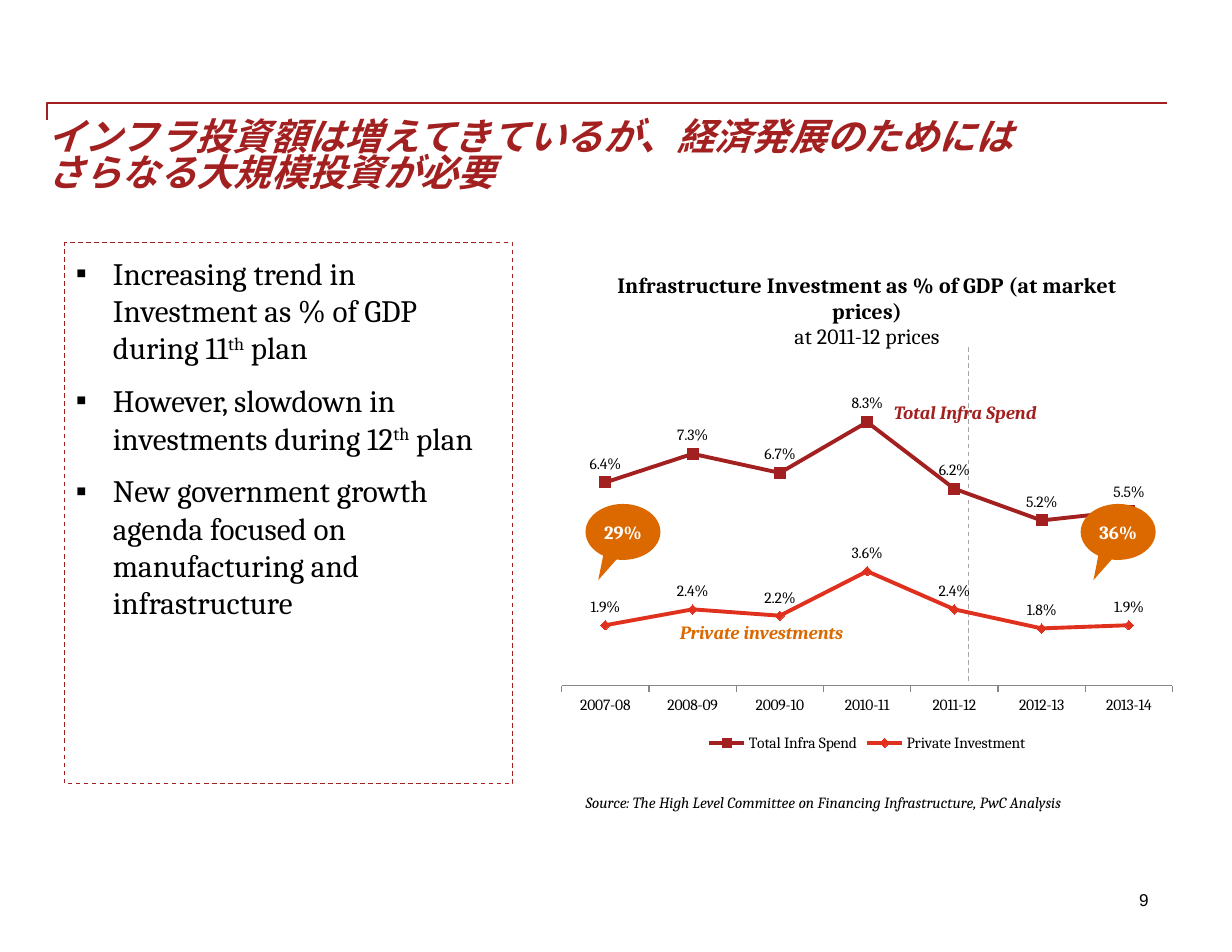
"""Build the infrastructure investment slide."""
from dataclasses import dataclass

from lxml import etree
from pptx import Presentation
from pptx.chart.data import CategoryChartData
from pptx.dml.color import RGBColor
from pptx.enum.chart import (XL_CHART_TYPE, XL_LABEL_POSITION, XL_LEGEND_POSITION,
                             XL_MARKER_STYLE, XL_TICK_LABEL_POSITION, XL_TICK_MARK)
from pptx.enum.dml import MSO_LINE
from pptx.enum.shapes import MSO_CONNECTOR, MSO_SHAPE
from pptx.enum.text import MSO_ANCHOR, MSO_AUTO_SIZE, PP_ALIGN
from pptx.oxml import parse_xml
from pptx.oxml.ns import nsdecls, qn
from pptx.util import Cm, Pt

LINE_MARKERS = XL_CHART_TYPE.LINE_MARKERS
SQUARE, DIAMOND = XL_MARKER_STYLE.SQUARE, XL_MARKER_STYLE.DIAMOND
DASH = MSO_LINE.DASH
TOP, MIDDLE = MSO_ANCHOR.TOP, MSO_ANCHOR.MIDDLE
LEFT, CENTER, RIGHT = PP_ALIGN.LEFT, PP_ALIGN.CENTER, PP_ALIGN.RIGHT
PERCENT = "0.0%"


@dataclass(frozen=True)
class Theme:
    """Colours, fonts and type sizes."""
    red: RGBColor = RGBColor(0xA3, 0x20, 0x20)
    bright: RGBColor = RGBColor(0xE0, 0x30, 0x1E)
    orange: RGBColor = RGBColor(0xDC, 0x69, 0x00)
    grey: RGBColor = RGBColor(0xA6, 0xA6, 0xA6)
    axis: RGBColor = RGBColor(0x86, 0x86, 0x86)
    black: RGBColor = RGBColor(0, 0, 0)
    white: RGBColor = RGBColor(0xFF, 0xFF, 0xFF)
    serif: str = "Cambria"
    sans: str = "Arial"
    japanese: str = "Noto Sans CJK JP"
    title: Pt = Pt(24)
    body: Pt = Pt(20)
    chart_title: Pt = Pt(14)
    label: Pt = Pt(12)
    page: Pt = Pt(11)
    small: Pt = Pt(10)


THEME = Theme()


@dataclass(frozen=True)
class Label:
    """A line of text and its place in centimetres."""
    text: str
    place: tuple[float, float, float, float]
    size: Pt
    color: RGBColor
    bold: bool = False
    italic: bool = True
    font: str = THEME.serif
    align: PP_ALIGN = LEFT
    wrap: bool = True


@dataclass(frozen=True)
class Series:
    """A chart line."""
    name: str
    values: tuple[float, ...]
    color: RGBColor
    marker: XL_MARKER_STYLE
    marker_size: int


LABELS = (
    Label("9", (25.81, 20.17, 0.24, 0.48), THEME.page, THEME.black, italic=False,
          font=THEME.sans, align=RIGHT, wrap=False),
    Label("Source: The High Level Committee on Financing Infrastructure, PwC Analysis",
          (13.28, 17.98, 12.7, 0.43), THEME.small, THEME.black),
    Label("Total Infra Spend", (20.27, 9.09, 4.24, 0.51), THEME.label, THEME.red, bold=True),
    Label("Private investments", (15.42, 14.07, 4.85, 0.51), THEME.label, THEME.orange, bold=True),
)
CALLOUTS = (("29%", 13.28), ("36%", 24.51))
BULLETS = (
    ("Increasing trend in Investment as % of GDP during 11", "th", " plan"),
    ("However, slowdown in investments during 12", "th", " plan"),
    ("New government growth agenda focused on manufacturing and infrastructure",),
)
YEARS = [f"{year}-{year % 100 + 1:02d}" for year in range(2007, 2014)]
SERIES = (
    Series("Total Infra Spend", (0.064, 0.073, 0.067, 0.083, 0.062, 0.052, 0.055),
           THEME.red, SQUARE, 7),
    Series("Private Investment", (0.019, 0.024, 0.022, 0.036, 0.024, 0.018, 0.019),
           THEME.bright, DIAMOND, 6),
)


def set_font(font, size: Pt, color: RGBColor, name: str = THEME.serif,
             bold: bool = False, italic: bool = False) -> None:
    font.size, font.name, font.bold, font.italic = size, name, bold, italic
    font.color.rgb = color


def set_frame(frame, anchor: MSO_ANCHOR = TOP, side: float = 0, top: float = 0,
              bottom: float = 0, wrap: bool = True) -> None:
    frame.word_wrap, frame.vertical_anchor = wrap, anchor
    frame.margin_left = frame.margin_right = Cm(side)
    frame.margin_top, frame.margin_bottom = Cm(top), Cm(bottom)


def add_line(page, kind: MSO_CONNECTOR, ends: tuple[float, ...], color: RGBColor, width: float):
    line = page.shapes.add_connector(kind, *map(Cm, ends))
    line.line.color.rgb, line.line.width = color, Pt(width)
    etree.SubElement(line._element.spPr, qn("a:effectLst"))
    return line


def add_title(page) -> None:
    title = page.shapes.title
    title.left, title.top, title.width, title.height = map(Cm, (1.07, 2.74, 26.24, 2.54))
    frame = title.text_frame
    frame.text = "インフラ投資額は増えてきているが、経済発展のためには\vさらなる大規模投資が必要"
    set_frame(frame)
    frame.auto_size = MSO_AUTO_SIZE.NONE
    para = frame.paragraphs[0]
    para.alignment, para.line_spacing = LEFT, 0.82
    set_font(para.font, THEME.title, THEME.red, THEME.japanese, True, True)
    for span in para.runs:
        etree.SubElement(span.font._element, qn("a:ea"), typeface=THEME.japanese)


def add_bullets(page) -> None:
    box = page.shapes.add_shape(MSO_SHAPE.RECTANGLE, *map(Cm, (1.47, 5.51, 10.16, 12.27)))
    box.shadow.inherit = False
    box.fill.background()
    box.line.color.rgb, box.line.width, box.line.dash_style = THEME.red, Pt(0.75), DASH
    frame = box.text_frame
    set_frame(frame, side=0.25, top=0.25)
    for index, pieces in enumerate(BULLETS):
        para = frame.add_paragraph() if index else frame.paragraphs[0]
        para.alignment, para.space_after = LEFT, Pt(10)
        props = para._p.get_or_add_pPr()
        props.set("marL", str(Cm(0.84)))
        props.set("indent", str(Cm(-0.84)))
        etree.SubElement(props, qn("a:buFont"), typeface=THEME.sans)
        etree.SubElement(props, qn("a:buChar"), char="▪")
        set_font(para.font, THEME.body, THEME.black)
        for text in pieces:
            span = para.add_run()
            span.text = text
            if text == "th":
                span.font._element.set("baseline", "30000")


def add_chart(page) -> None:
    data = CategoryChartData(number_format=PERCENT)
    data.categories = YEARS
    for series in SERIES:
        data.add_series(series.name, series.values)
    chart = page.shapes.add_chart(LINE_MARKERS, *map(Cm, (12.45, 5.72, 14.43, 11.43)), data).chart
    set_font(chart.font, THEME.small, THEME.black)
    frame = chart.chart_title.text_frame
    frame.text = "Infrastructure Investment as % of GDP (at market prices)\nat 2011-12 prices"
    for para, bold in zip(frame.paragraphs, (True, False)):
        set_font(para.font, THEME.chart_title, THEME.black, bold=bold)
    chart.chart_title.include_in_layout = False
    chart.has_legend = True
    chart.legend.position, chart.legend.include_in_layout = XL_LEGEND_POSITION.BOTTOM, False
    values, years = chart.value_axis, chart.category_axis
    values.minimum_scale, values.maximum_scale, values.major_unit = 0, 0.1, 0.02
    values.has_major_gridlines, values.visible = False, False
    years.major_tick_mark = XL_TICK_MARK.OUTSIDE
    years.tick_label_position = XL_TICK_LABEL_POSITION.LOW
    years.format.line.color.rgb = THEME.axis
    for line, series in zip(chart.plots[0].series, SERIES):
        line.smooth = False
        line.format.line.color.rgb, line.format.line.width = series.color, Pt(2.5)
        line.marker.style, line.marker.size = series.marker, series.marker_size
        line.marker.format.fill.solid()
        line.marker.format.fill.fore_color.rgb = series.color
        line.marker.format.line.color.rgb = series.color
        labels = line.data_labels
        labels.show_value, labels.position = True, XL_LABEL_POSITION.ABOVE
        labels.number_format, labels.number_format_is_linked = PERCENT, False
    plot_area = chart._chartSpace.chart.plotArea
    for old in plot_area.findall(qn("c:layout")):
        plot_area.remove(old)
    plot_area.insert(0, parse_xml(
        f'<c:layout {nsdecls("c")}><c:manualLayout><c:layoutTarget val="inner"/>'
        '<c:xMode val="edge"/><c:yMode val="edge"/><c:x val="0.02"/><c:y val="0.23"/>'
        '<c:w val="0.96"/><c:h val="0.63"/></c:manualLayout></c:layout>'))


def add_label(page, label: Label) -> None:
    frame = page.shapes.add_textbox(*map(Cm, label.place)).text_frame
    set_frame(frame, wrap=label.wrap)
    para = frame.paragraphs[0]
    para.text, para.alignment = label.text, label.align
    set_font(para.font, label.size, label.color, label.font, label.bold, label.italic)


def add_callout(page, text: str, left: float) -> None:
    bubble = page.shapes.add_shape(MSO_SHAPE.OVAL_CALLOUT, *map(Cm, (left, 11.43, 1.7, 1.27)))
    bubble.adjustments[0], bubble.adjustments[1] = -0.33, 0.86
    bubble.shadow.inherit = False
    bubble.fill.solid()
    bubble.fill.fore_color.rgb = THEME.orange
    bubble.line.fill.background()
    set_frame(bubble.text_frame, MIDDLE, top=0.13, bottom=0.13)
    para = bubble.text_frame.paragraphs[0]
    para.text, para.alignment = text, CENTER
    set_font(para.font, THEME.label, THEME.white, bold=True)


def main() -> None:
    deck = Presentation()
    deck.slide_width, deck.slide_height = Cm(27.94), Cm(21.59)
    page = deck.slides.add_slide(deck.slide_layouts[5])
    rule = add_line(page, MSO_CONNECTOR.ELBOW, (1.07, 2.73, 26.47, 2.34), THEME.red, 1)
    guides = rule._element.spPr.find(qn("a:prstGeom")).get_or_add_avLst()
    etree.SubElement(guides, qn("a:gd"), name="adj1", fmla="val 0")
    divider = add_line(page, MSO_CONNECTOR.STRAIGHT, (21.97, 15.44, 21.97, 7.82), THEME.grey, 0.75)
    divider.line.dash_style = DASH
    add_title(page)
    add_bullets(page)
    add_chart(page)
    for label in LABELS:
        add_label(page, label)
    for text, left in CALLOUTS:
        add_callout(page, text, left)
    deck.save("out.pptx")


if __name__ == "__main__":
    main()
